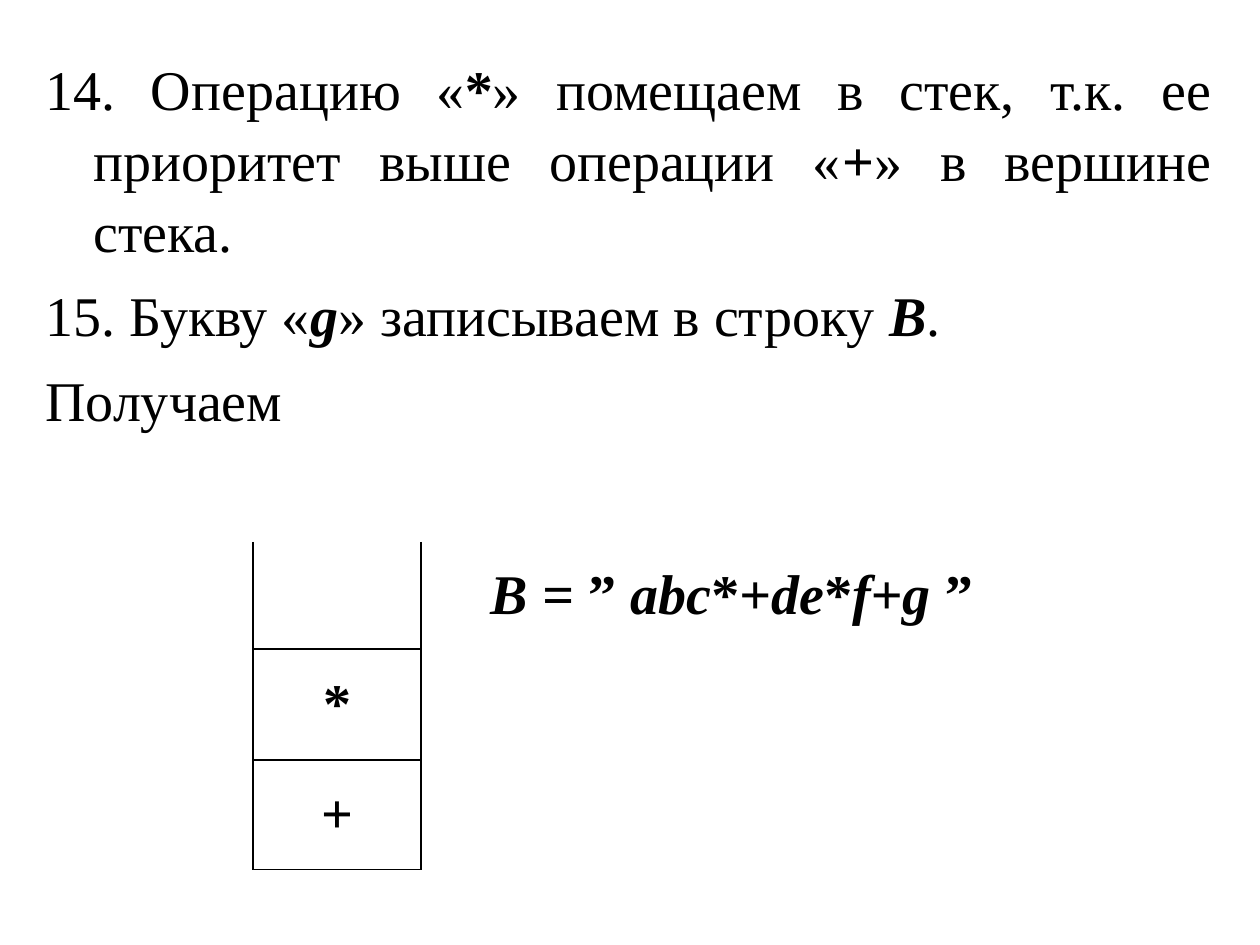
from lxml.etree import SubElement
from pptx import Presentation
from pptx.dml.color import RGBColor
from pptx.enum.text import MSO_ANCHOR, MSO_AUTO_SIZE, PP_ALIGN
from pptx.oxml.ns import qn
from pptx.util import Inches, Pt

# Content: each run is (text, style), where style holds "b" and/or "i"
STEPS = [
    [("14. Операцию «", ""), ("*", "b"),
     ("» помещаем в стек, т.к. ее приоритет выше операции «", ""),
     ("+", "b"), ("» в вершине стека. ", "")],
    [("15. Букву «", ""), ("g", "bi"), ("» записываем в строку ", ""),
     ("В", "bi"), (".", "")],
    [("Получаем", "")],
]
OUTPUT_STRING = [
    ("В", "bi"), (" = ” ", "b"), ("abс", "bi"), ("*+", "b"), ("de", "bi"),
    ("*", "b"), ("f", "bi"), ("+", "b"), ("g ", "bi"), ("” ", "b"),
]
# Each cell is (runs, bordered sides); the stack is open at the top
STACK_ROWS = [
    [([], "LRB"), (OUTPUT_STRING, "L")],
    [([("*", "b")], "LRTB"), ([], "L")],
    [([("+", "b")], "LRTB"), ([], "L")],
]
COLUMN_WIDTHS = [1.33, 5.05]
ROW_HEIGHTS = [0.85, 0.88, 0.87]
INK = "000000"
FONT = {"name": "Times New Roman", "size": Pt(32)}
BORDER_WIDTH = Pt(1.08)


def color(hex_value):
    return RGBColor.from_string(hex_value)


def write_paragraph(paragraph, runs, **paragraph_format):
    for key, value in {"space_before": Pt(8), **paragraph_format}.items():
        setattr(paragraph, key, value)
    for text, style in runs:
        run = paragraph.add_run()
        run.text = text
        for key, value in {**FONT, "bold": "b" in style, "italic": "i" in style}.items():
            setattr(run.font, key, value)
        run.font.color.rgb = color(INK)


def set_hanging_indent(paragraph, indent):
    properties = paragraph._p.get_or_add_pPr()
    properties.set("marL", str(indent))
    properties.set("indent", str(-indent))
    SubElement(properties, qn("a:buNone"))


def set_borders(cell, sides):
    properties = cell._tc.get_or_add_tcPr()
    for side in "LRTB":
        line = SubElement(properties, qn(f"a:ln{side}"), w=str(BORDER_WIDTH))
        if side in sides:
            fill = SubElement(line, qn("a:solidFill"))
            SubElement(fill, qn("a:srgbClr"), val=INK)
        else:
            SubElement(line, qn("a:noFill"))


def add_steps(slide):
    body = slide.placeholders[1]
    box = {"left": 0.26, "top": 0.36, "width": 9.46, "height": 3.39}
    for key, value in box.items():
        setattr(body, key, Inches(value))
    frame = body.text_frame
    frame.auto_size = MSO_AUTO_SIZE.NONE
    frame.vertical_anchor = MSO_ANCHOR.TOP
    for index, runs in enumerate(STEPS):
        paragraph = frame.add_paragraph() if index else frame.paragraphs[0]
        write_paragraph(paragraph, runs, alignment=PP_ALIGN.JUSTIFY, line_spacing=1.05)
        set_hanging_indent(paragraph, Inches(0.38))


def add_stack(slide):
    stack = slide.shapes.add_table(
        len(ROW_HEIGHTS), len(COLUMN_WIDTHS), Inches(2.01), Inches(4.3),
        Inches(sum(COLUMN_WIDTHS)), Inches(sum(ROW_HEIGHTS))).table
    stack.first_row = stack.horz_banding = False
    for column, width in zip(stack.columns, COLUMN_WIDTHS):
        column.width = Inches(width)
    for row, height, contents in zip(stack.rows, ROW_HEIGHTS, STACK_ROWS):
        row.height = Inches(height)
        for cell, (runs, sides) in zip(row.cells, contents):
            set_borders(cell, sides)
            cell.fill.background()
            cell.vertical_anchor = MSO_ANCHOR.MIDDLE
            if runs:
                write_paragraph(cell.text_frame.paragraphs[0], runs,
                                alignment=PP_ALIGN.CENTER)


def main():
    deck = Presentation()
    deck.slide_width, deck.slide_height = Inches(10), Inches(7.5)
    slide = deck.slides.add_slide(deck.slide_layouts[1])
    # The slide has no title
    title = slide.shapes.title.element
    title.getparent().remove(title)
    add_steps(slide)
    add_stack(slide)
    deck.save("out.pptx")


if __name__ == "__main__":
    main()
